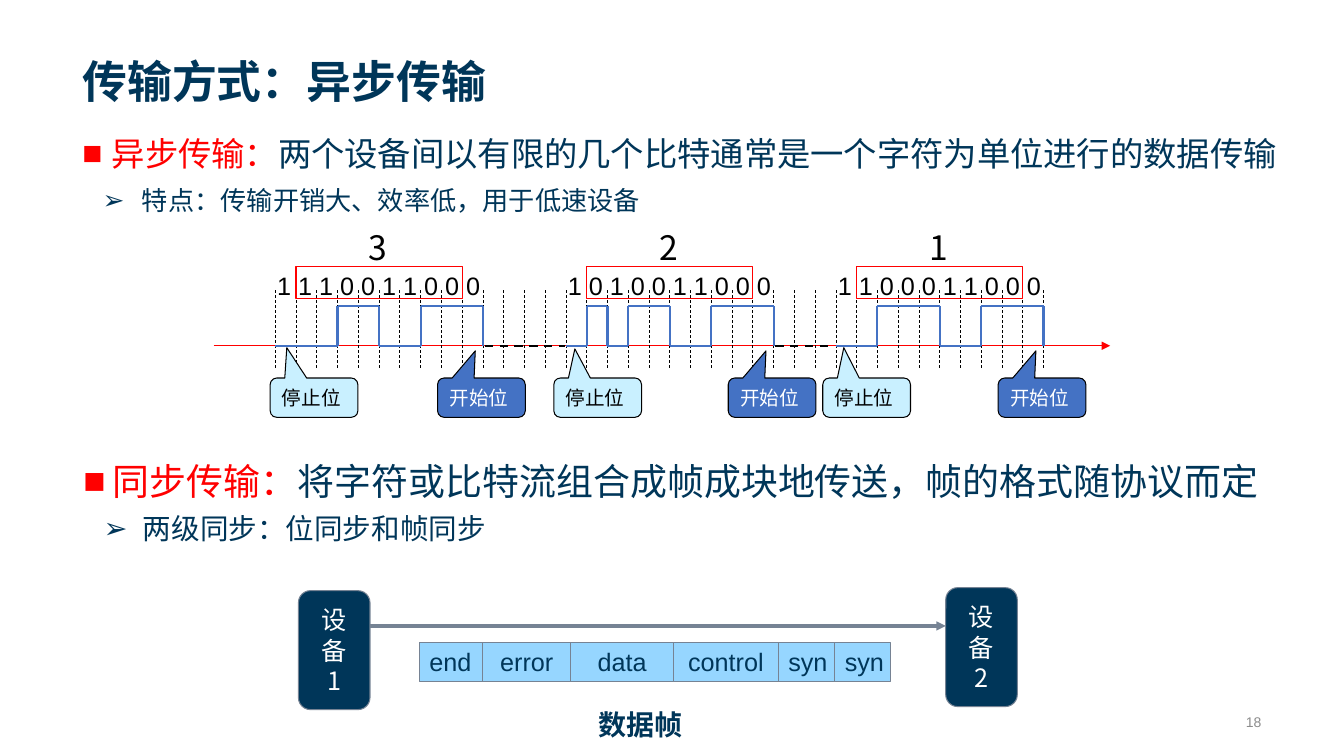
from itertools import accumulate, groupby
from lxml.etree import SubElement
from pptx import Presentation
from pptx.dml.color import RGBColor
from pptx.enum.dml import MSO_LINE
from pptx.enum.shapes import MSO_CONNECTOR, MSO_SHAPE
from pptx.enum.text import MSO_ANCHOR, MSO_AUTO_SIZE, PP_ALIGN
from pptx.oxml.ns import qn
from pptx.util import Inches, Pt

NAVY = RGBColor(0x00, 0x36, 0x59)
RED = RGBColor(0xFF, 0x00, 0x00)
BLACK = RGBColor(0x00, 0x00, 0x00)
WHITE = RGBColor(0xFF, 0xFF, 0xFF)
GRAY = RGBColor(0x8C, 0x8C, 0x8C)
SLATE = RGBColor(0x76, 0x83, 0x94)
BLUE = RGBColor(0x44, 0x72, 0xC4)
ICE = RGBColor(0xC9, 0xF0, 0xFF)
SKY = RGBColor(0x96, 0xD6, 0xFF)

CJK = "Noto Sans CJK SC"
LATIN = "Arial"

TICK_COUNT = 38
FIRST_TICK, LAST_TICK = 2.73, 10.35
PITCH = (LAST_TICK - FIRST_TICK) / (TICK_COUNT - 1)
HIGH, LOW = 3.04, 3.43

CHARACTERS = [
    ("3", "1110011000", 0, -0.05, (-0.31, -1.27)),
    ("2", "1010011000", 14, -0.12, (-0.26, -1.24)),
    ("1", "1100011000", 27, -0.13, (-0.26, -1.27)),
]
FIELDS = [
    ("end", 0.63, PP_ALIGN.LEFT),
    ("error", 0.87, PP_ALIGN.CENTER),
    ("data", 1.02, PP_ALIGN.CENTER),
    ("control", 1.04, PP_ALIGN.CENTER),
    ("syn", 0.56, PP_ALIGN.LEFT),
    ("syn", 0.55, PP_ALIGN.LEFT),
]


def tick_x(index):
    """Return the horizontal position of a clock tick."""
    return FIRST_TICK + index * PITCH


def add_run(paragraph, text, size, color, font=LATIN, bold=False):
    """Add a formatted run to a paragraph."""
    run = paragraph.add_run()
    run.text = text
    run.font.size = Pt(size)
    run.font.bold = bold
    run.font.color.rgb = color
    run.font.name = font
    SubElement(run.font._element, qn("a:ea")).set("typeface", CJK)


def add_label(slide, box, text, size, color, font=LATIN, bold=False,
              align=PP_ALIGN.LEFT, anchor=MSO_ANCHOR.TOP, wrap=False):
    """Add a text box with one line of text."""
    frame = slide.shapes.add_textbox(*map(Inches, box)).text_frame
    frame.word_wrap = wrap
    frame.auto_size = MSO_AUTO_SIZE.NONE if wrap else MSO_AUTO_SIZE.SHAPE_TO_FIT_TEXT
    frame.vertical_anchor = anchor
    frame.paragraphs[0].alignment = align
    add_run(frame.paragraphs[0], text, size, color, font, bold)


def set_bullet(paragraph, char, margin, indent):
    """Give a paragraph a bullet and a hanging indent."""
    properties = paragraph._p.get_or_add_pPr()
    properties.set("marL", str(Inches(margin)))
    properties.set("indent", str(Inches(indent)))
    SubElement(properties, qn("a:buFont")).set("typeface", LATIN)
    SubElement(properties, qn("a:buChar")).set("char", char)


def add_topic(slide, box, term, definition, detail, sizes, font, spacing):
    """Add a bulleted definition with one detail below it."""
    frame = slide.shapes.add_textbox(*map(Inches, box)).text_frame
    frame.word_wrap = True
    heading, point = frame.paragraphs[0], frame.add_paragraph()
    set_bullet(heading, "■", 0.29, -0.29)
    set_bullet(point, "➢", 0.59, -0.39)
    heading.line_spacing = point.line_spacing = spacing
    point.space_before = Pt(6)
    add_run(heading, term, sizes[0], RED, CJK)
    add_run(heading, definition, sizes[0], NAVY, font)
    add_run(point, detail, sizes[1], NAVY, font)


def add_line(slide, start, end, color, width, dashed=False, arrow=False):
    """Add a straight line, optionally dashed or with an arrowhead."""
    line = slide.shapes.add_connector(
        MSO_CONNECTOR.STRAIGHT, *map(Inches, (*start, *end)))
    line.line.color.rgb = color
    line.line.width = Pt(width)
    if dashed:
        line.line.dash_style = MSO_LINE.DASH
    if arrow:
        SubElement(line.line._get_or_add_ln(), qn("a:tailEnd")).set("type", "triangle")
    SubElement(line._element.spPr, qn("a:effectLst"))


def add_block(slide, kind, box, fill, outline, lines=(), size=18, color=NAVY,
              font=LATIN, align=PP_ALIGN.CENTER, wrap=False, pointer=()):
    """Add an outlined shape with one paragraph for each line of text."""
    block = slide.shapes.add_shape(kind, *map(Inches, box))
    block.shadow.inherit = False
    block.line.color.rgb = outline
    block.line.width = Pt(0.75)
    if fill is None:
        block.fill.background()
    else:
        block.fill.solid()
        block.fill.fore_color.rgb = fill
    for index, offset in enumerate(pointer):
        block.adjustments[index] = offset
    frame = block.text_frame
    frame.word_wrap = wrap
    frame.vertical_anchor = MSO_ANCHOR.MIDDLE
    for index, text in enumerate(lines):
        paragraph = frame.add_paragraph() if index else frame.paragraphs[0]
        paragraph.alignment = align
        add_run(paragraph, text, size, color, font)


def add_wave(slide, bits, first):
    """Draw the signal of one character: 1 is low and 0 is high."""
    position = first
    for bit, group in groupby(bits):
        left = tick_x(position)
        position += len(list(group))
        right = tick_x(position)
        level = HIGH if bit == "0" else LOW
        add_line(slide, (left, level), (right, level), BLUE, 1.5)
        if bit == "0":
            for edge in (left, right):
                add_line(slide, (edge, LOW), (edge, HIGH), BLUE, 1.5)


def add_callout(slide, left, text, fill, color, pointer):
    """Add a callout that points at a bit on the time axis."""
    add_block(slide, MSO_SHAPE.ROUNDED_RECTANGULAR_CALLOUT, (left, 3.75, 0.87, 0.39),
              fill, BLACK, [text], 14, color, align=PP_ALIGN.LEFT, wrap=True,
              pointer=pointer)


def add_character(slide, number, bits, first, stop_offset, stop_pointer):
    """Draw one transmitted character with its bits and callouts."""
    left = tick_x(first)
    add_wave(slide, bits, first)
    add_label(slide, (left - 0.08, 2.63, 2.22, 0.4), " ".join(bits), 18, BLACK)
    add_callout(slide, left + 1.61, "开始位", BLUE, WHITE, (-0.07, -1.19))
    add_callout(slide, left + stop_offset, "停止位", ICE, BLACK, stop_pointer)
    add_label(slide, (left + 0.83, 2.2, 0.4, 0.5), number, 24, BLACK, CJK)
    add_block(slide, MSO_SHAPE.RECTANGLE, (tick_x(first + 1), 2.64, 8 * PITCH, 0.32),
              None, RED)


def add_timeline(slide):
    """Draw the asynchronous signal along its time axis."""
    add_line(slide, (2.12, LOW), (11.01, LOW), RED, 1, arrow=True)
    for index in range(TICK_COUNT):
        add_line(slide, (tick_x(index), 2.88), (tick_x(index), 3.67), BLACK, 0.5, dashed=True)
    for idle_start, idle_end in ((4.81, 5.6), (7.69, 8.24)):
        add_line(slide, (idle_start, LOW), (idle_end, LOW), BLACK, 1.5, dashed=True)
    for character in CHARACTERS:
        add_character(slide, *character)


def add_data_frame(slide):
    """Draw two devices and the data frame sent between them."""
    for number, left, top in (("1", 2.96, 5.86), ("2", 9.38, 5.83)):
        add_block(slide, MSO_SHAPE.ROUNDED_RECTANGLE, (left, top, 0.71, 1.18),
                  NAVY, SLATE, ["设", "备", number], color=WHITE, font=CJK)
    add_line(slide, (3.67, 6.21), (9.38, 6.21), SLATE, 2.25, arrow=True)
    lefts = accumulate((width for _, width, _ in FIELDS), initial=4.16)
    for left, (field, width, align) in zip(lefts, FIELDS):
        add_block(slide, MSO_SHAPE.RECTANGLE, (left, 6.37, width, 0.39),
                  SKY, SLATE, [field], align=align)
    add_label(slide, (5.84, 6.97, 1.06, 0.43), "数据帧", 20, NAVY, CJK, bold=True)


def main():
    """Build the slide and save it."""
    deck = Presentation()
    deck.slide_width, deck.slide_height = Inches(13.33), Inches(7.5)
    slide = deck.slides.add_slide(deck.slide_layouts[6])
    add_label(slide, (0.72, 0.14, 11.88, 0.98), "传输方式：异步传输", 32, NAVY, CJK,
              bold=True, anchor=MSO_ANCHOR.BOTTOM, wrap=True)
    add_topic(slide, (0.72, 1.23, 12.16, 1.18), "异步传输：",
              "两个设备间以有限的几个比特通常是一个字符为单位进行的数据传输",
              "特点：传输开销大、效率低，用于低速设备", (23.8, 18.7), CJK, 1.1)
    add_label(slide, (11.73, 7.01, 0.88, 0.3), "18", 10, GRAY,
              align=PP_ALIGN.RIGHT, anchor=MSO_ANCHOR.MIDDLE, wrap=True)
    add_timeline(slide)
    add_topic(slide, (0.73, 4.5, 11.86, 1.01), "同步传输：",
              "将字符或比特流组合成帧成块地传送，帧的格式随协议而定",
              "两级同步：位同步和帧同步", (26.4, 20.4), LATIN, 1.0)
    add_data_frame(slide)
    deck.save("out.pptx")


if __name__ == "__main__":
    main()
